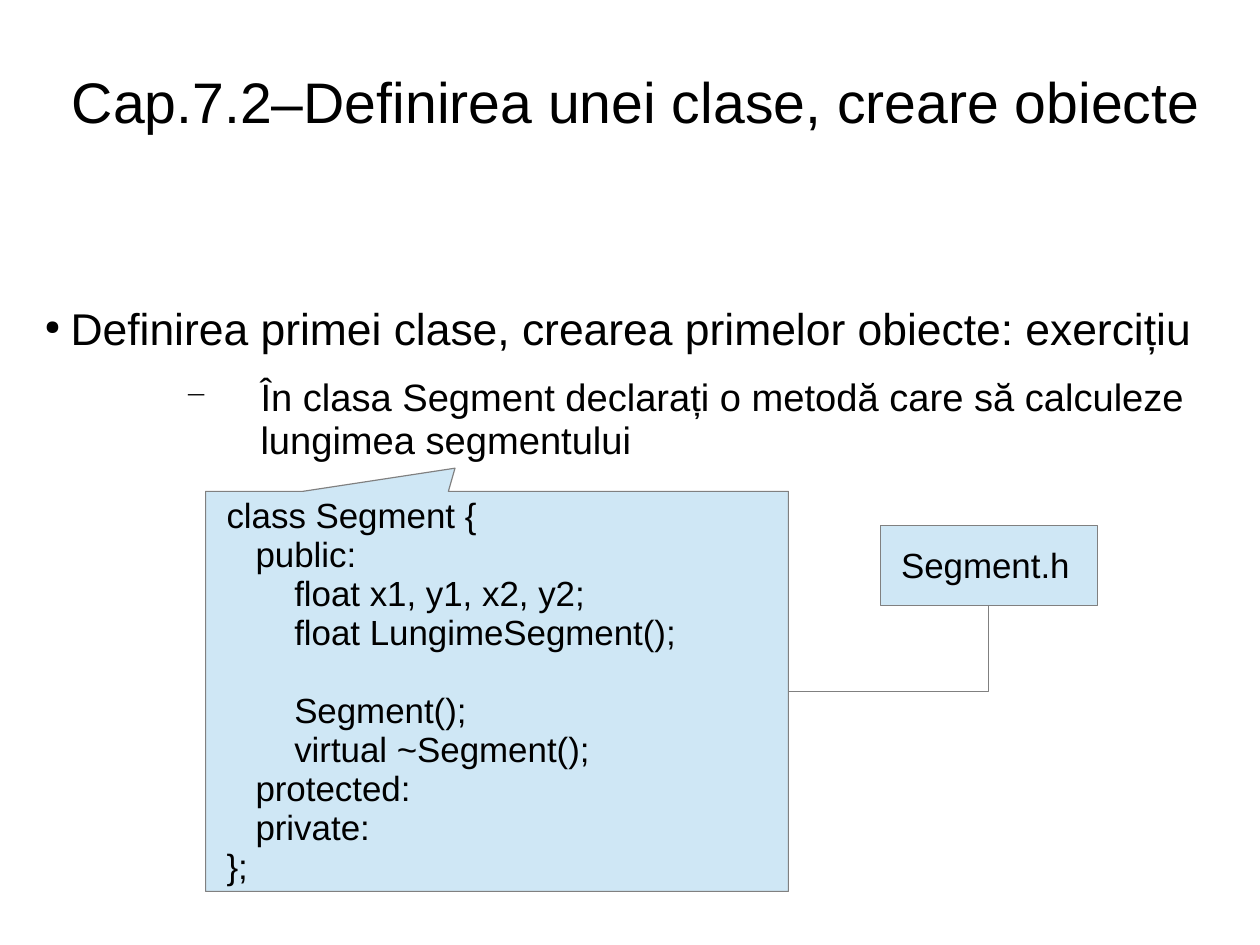
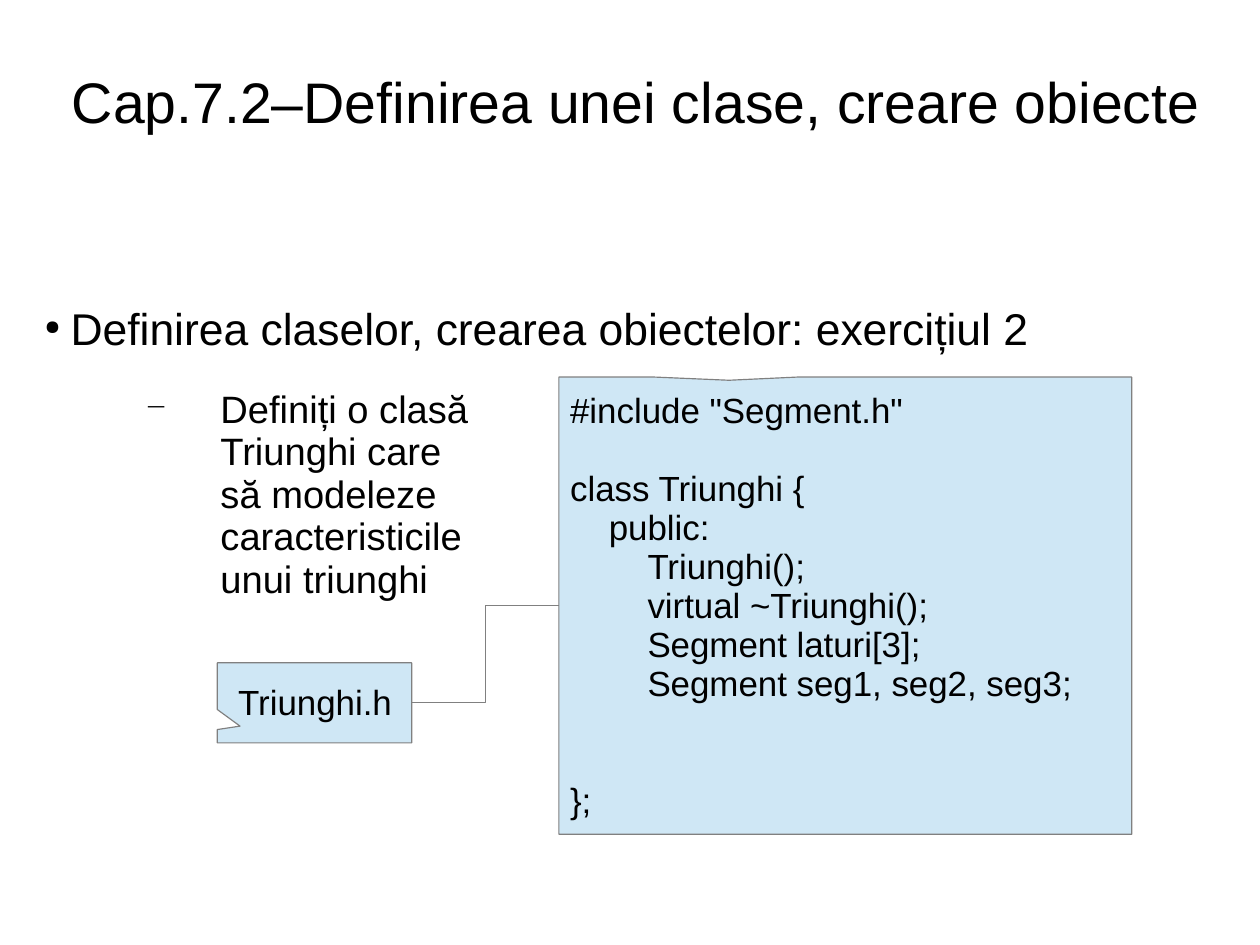
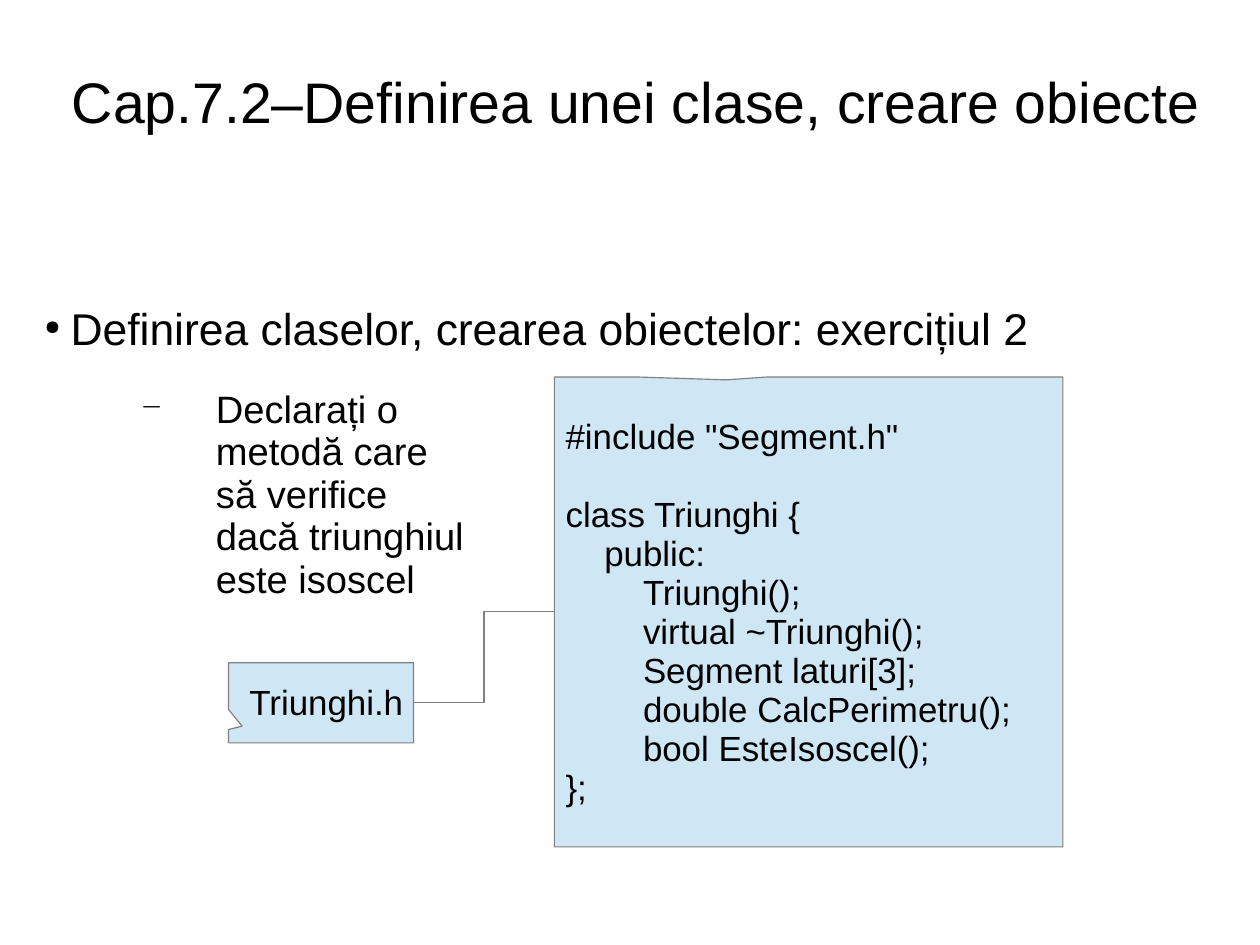
"""Builds three slides on defining C++ classes and creating objects."""
from lxml.etree import SubElement
from pptx import Presentation
from pptx.dml.color import RGBColor
from pptx.enum.shapes import MSO_CONNECTOR, MSO_SHAPE
from pptx.enum.text import MSO_ANCHOR, PP_ALIGN
from pptx.oxml.ns import qn
from pptx.util import Cm, Pt

COLORS = {"text": "000000", "fill": "CFE7F5", "line": "808080"}
FONT = "Arial"
TITLE = "Cap.7.2–Definirea unei clase, creare obiecte"
LINE_SPACING = 0.93
CODE_SIZE = 22
CODE_LINE = 24.5
SPACE_WIDTH = 0.215
TOP, LEFT, BOTTOM, RIGHT = range(4)

SEGMENT_CODE = """\
 class Segment {
    public:
        float x1, y1, x2, y2;
        float LungimeSegment();

        Segment();
        virtual ~Segment();
    protected:
    private:
 };"""

TRIANGLE_CODE = """\
#include "Segment.h"

class Triunghi {
    public:
        Triunghi();
        virtual ~Triunghi();
        Segment laturi[3];
"""

ARRAY_CODE = TRIANGLE_CODE + """\
        Segment seg1, seg2, seg3;


};"""

METHOD_CODE = TRIANGLE_CODE + """\
        double CalcPerimetru();
        bool EsteIsoscel();
};"""


class Lesson:
    def __init__(self):
        self.deck = Presentation()
        self.deck.slide_width, self.deck.slide_height = Cm(28), Cm(21)
        self.page = None

    def color(self, name):
        return RGBColor.from_string(COLORS[name])

    def style(self, para, size):
        para.line_spacing = LINE_SPACING
        for span in para.runs:
            span.font.name = FONT
            span.font.size = Pt(size)
            span.font.color.rgb = self.color("text")

    def outline(self, item):
        item.line.color.rgb = self.color("line")
        item.line.width = Pt(0.75)

    def indent(self, para, margin, hanging=0):
        properties = para._p.get_or_add_pPr()
        properties.set("marL", str(Cm(margin)))
        properties.set("indent", str(-Cm(hanging)))
        return properties

    def bullet(self, para, symbol, percent, margin, hanging):
        properties = self.indent(para, margin, hanging)
        tint = SubElement(properties, qn("a:buClr"))
        SubElement(tint, qn("a:srgbClr"), val=COLORS["text"])
        SubElement(properties, qn("a:buSzPct"), val=str(percent * 1000))
        SubElement(properties, qn("a:buChar"), char=symbol)

    def text_box(self, left, top, width, height, inset=0.08):
        box = self.page.shapes.add_textbox(Cm(left), Cm(top), Cm(width), Cm(height))
        frame = box.text_frame
        frame.word_wrap = True
        frame.margin_left = frame.margin_right = frame.margin_bottom = 0
        frame.margin_top = Cm(inset)
        return frame

    def new_page(self):
        self.page = self.deck.slides.add_slide(self.deck.slide_layouts[6])
        frame = self.text_box(0.91, 0.71, 26.44, 3.15)
        frame.vertical_anchor = MSO_ANCHOR.MIDDLE
        frame.text = TITLE
        frame.paragraphs[0].alignment = PP_ALIGN.CENTER
        self.style(frame.paragraphs[0], 36)

    def topic(self, text, height=1.68):
        frame = self.text_box(0.99, 6.71, 26.19, height)
        frame.text = text
        para = frame.paragraphs[0]
        self.style(para, 28)
        para.space_after = Pt(14.1)
        self.bullet(para, "●", 45, 0.58, 0.58)
        return frame

    def task(self, para, text):
        para.text = text
        self.style(para, 24)
        self.bullet(para, "−", 75, 4.8, 1.68)

    def side_task(self, text, left, width):
        frame = self.text_box(left, 8.6, width, 5, 0.05)
        self.task(frame.paragraphs[0], text)

    def callout(self, code, left, top, width, height, tip):
        box = self.page.shapes.add_shape(
            MSO_SHAPE.RECTANGULAR_CALLOUT, Cm(left), Cm(top), Cm(width), Cm(height))
        box.adjustments[0], box.adjustments[1] = tip
        box.shadow.inherit = False
        box.fill.solid()
        box.fill.fore_color.rgb = self.color("fill")
        self.outline(box)
        frame = box.text_frame
        frame.word_wrap = True
        frame.vertical_anchor = MSO_ANCHOR.MIDDLE
        frame.margin_left, frame.margin_right = Cm(0.25), 0
        frame.margin_top, frame.margin_bottom = Cm(0.18), Cm(0.13)
        para, gaps = None, 0
        for line in code.splitlines():
            text = line.lstrip()
            if not text:
                gaps += 1
                continue
            para = frame.add_paragraph() if para else frame.paragraphs[0]
            para.text = text
            para.alignment = PP_ALIGN.LEFT
            self.style(para, CODE_SIZE)
            self.indent(para, (len(line) - len(text)) * SPACE_WIDTH)
            if gaps:
                para.space_before = Pt(gaps * CODE_LINE)
            gaps = 0
        return box

    def elbow(self, start, start_side, end, end_side):
        link = self.page.shapes.add_connector(MSO_CONNECTOR.ELBOW, 0, 0, 0, 0)
        link.begin_connect(start, start_side)
        link.end_connect(end, end_side)
        self.outline(link)
        properties = link._element.spPr
        if (start_side - end_side) % 2:
            properties.find(qn("a:prstGeom")).set("prst", "bentConnector2")
        SubElement(properties, qn("a:effectLst"))

    def segment_page(self):
        self.new_page()
        frame = self.topic("Definirea primei clase, crearea primelor obiecte: exercițiu", 3.71)
        self.task(frame.add_paragraph(),
                  "În clasa Segment declarați o metodă care să calculeze lungimea segmentului")
        code = self.callout(SEGMENT_CODE, 4.57, 10.92, 12.95, 8.89, (-0.072, -0.558))
        label = self.callout(" Segment.h", 19.56, 11.68, 4.83, 1.78, (-0.5, 0.291))
        self.elbow(code, RIGHT, label, BOTTOM)

    def triangle_page(self, task, task_area, code, code_area, code_tip, label_area, label_tip):
        self.new_page()
        self.topic("Definirea claselor, crearea obiectelor: exercițiul 2")
        code_box = self.callout(code, *code_area, code_tip)
        label = self.callout(" Triunghi.h", *label_area, label_tip)
        self.elbow(label, RIGHT, code_box, LEFT)
        self.side_task(task, *task_area)


def main():
    lesson = Lesson()
    lesson.segment_page()
    lesson.triangle_page(
        "Definiți o clasă Triunghi care să modeleze caracteristicile unui triunghi",
        (0.1, 10.57), ARRAY_CODE, (12.42, 8.38, 12.73, 10.16), (-0.203, -0.493),
        (4.83, 14.73, 4.32, 1.78), (-0.383, 0.291))
    lesson.triangle_page(
        "Declarați o metodă care să verifice dacă triunghiul este isoscel",
        (0, 10.41), METHOD_CODE, (12.32, 8.38, 11.3, 10.44), (-0.162, -0.494),
        (5.08, 14.73, 4.11, 1.78), (-0.427, 0.291))
    lesson.deck.save("out.pptx")


if __name__ == "__main__":
    main()
